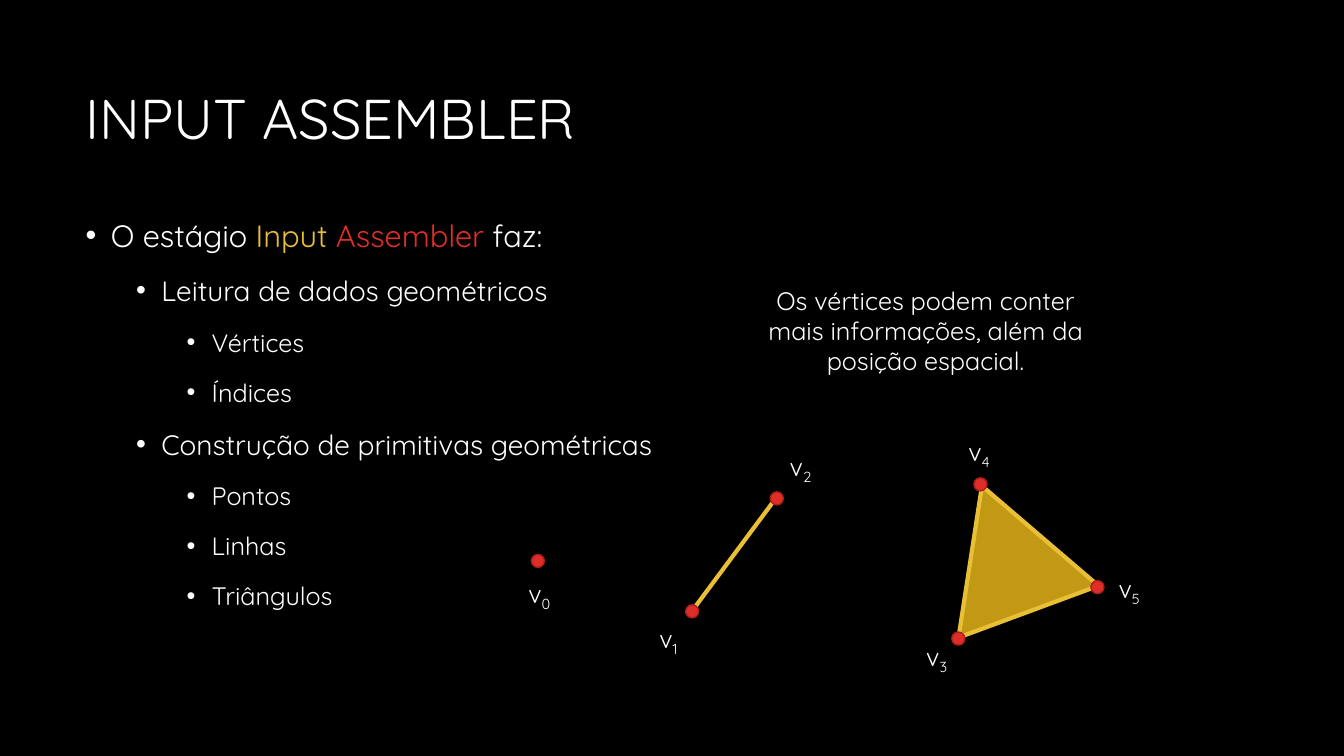
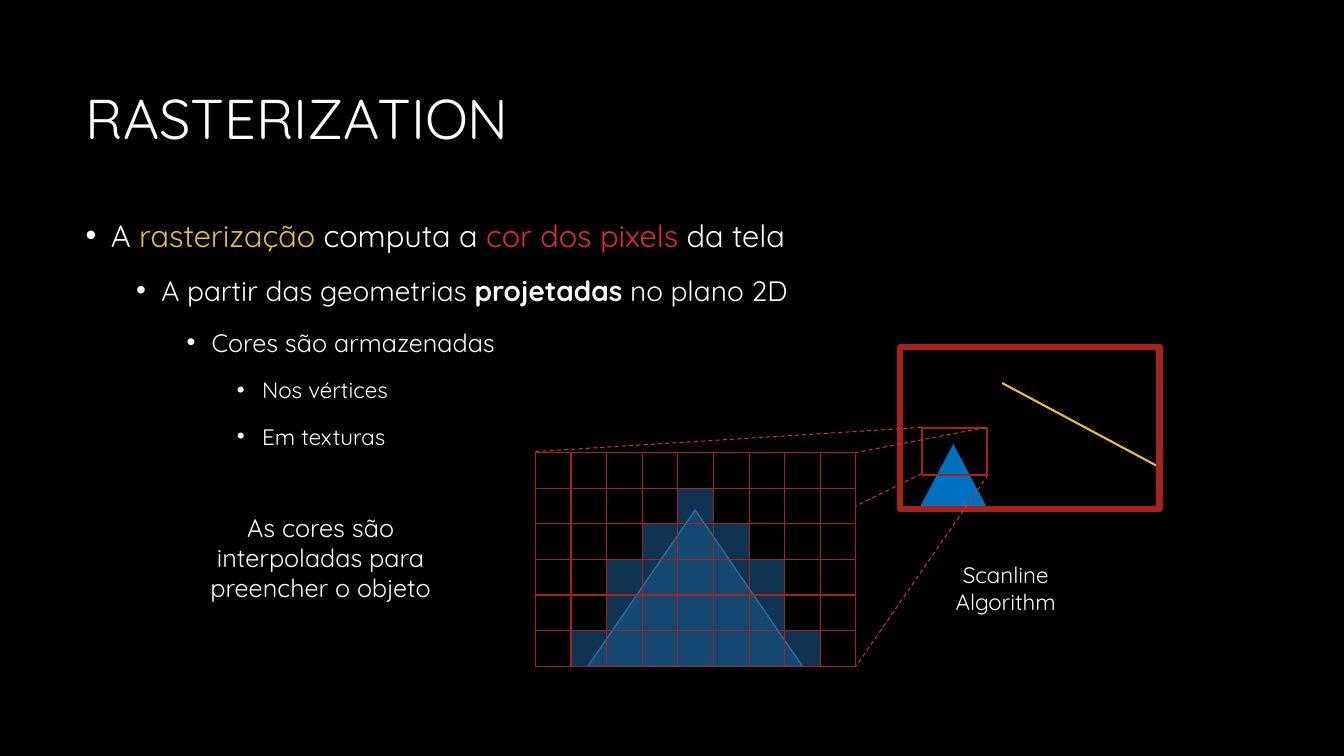
from pptx import Presentation
from pptx import util as u
from pptx.dml.color import RGBColor
from pptx.enum import dml, shapes, text
from pptx.oxml import parse_xml
from pptx.oxml.ns import nsdecls, qn
from pptx.oxml.xmlchemy import OxmlElement

BLACK = RGBColor(0x00, 0x00, 0x00)
WHITE = RGBColor(0xFF, 0xFF, 0xFF)
YELLOW = RGBColor(0xE9, 0xBF, 0x35)
GOLD = RGBColor(0xC1, 0x99, 0x15)
RED = RGBColor(0xDF, 0x2E, 0x28)
DOT_EDGE = RGBColor(0xAC, 0x1E, 0x1A)
FRAME_RED = RGBColor(0xA5, 0x22, 0x1E)
BLUE = RGBColor(0x00, 0x70, 0xC0)
MID_BLUE = RGBColor(0x24, 0x76, 0xB9)
LIGHT_BLUE = RGBColor(0x4A, 0x9B, 0xDC)
DARK_BLUE = RGBColor(0x18, 0x4F, 0x7B)
FONT = "Quicksand"
SHAPE = shapes.MSO_SHAPE


def draw_shape(page, kind, at, fill, edge, weight, opacity=None):
    """Add a preset shape; at is left, top, width, height in inches."""
    shape = page.shapes.add_shape(kind, *map(u.Inches, at))
    shape.shadow.inherit = False
    if fill is None:
        shape.fill.background()
    else:
        shape.fill.solid()
        shape.fill.fore_color.rgb = fill
    if opacity is not None:
        alpha = OxmlElement("a:alpha")
        alpha.set("val", str(opacity * 1000))
        shape._element.spPr.find(qn("a:solidFill"))[0].append(alpha)
    shape.line.color.rgb = edge
    shape.line.width = u.Pt(weight)
    return shape


def draw_line(page, ends, color, weight, dashed=False):
    """Add a straight line; ends is x1, y1, x2, y2 in inches."""
    line = page.shapes.add_connector(shapes.MSO_CONNECTOR.STRAIGHT, *map(u.Inches, ends))
    line.line.color.rgb = color
    line.line.width = u.Pt(weight)
    if dashed:
        line.line.dash_style = dml.MSO_LINE.DASH
    line._element.spPr.append(OxmlElement("a:effectLst"))


deck = Presentation()
deck.slide_width, deck.slide_height = u.Inches(13.33), u.Inches(7.5)

# Shared look: background, text levels and placeholder positions
master = deck.slide_master
master.background.fill.solid()
master.background.fill.fore_color.rgb = BLACK

# style, level, size, line spacing in percent, space before, left indent
levels = [("p:titleStyle", 1, 40, 90, 0, None)]
for level, size in enumerate((22, 20, 18, 16)):
    levels.append(("p:bodyStyle", level + 1, size, 110, 12 if level else 0, 0.25 + 0.5 * level))
for style_name, level, size, spacing, before, indent in levels:
    if indent is None:
        margins, bullet = 'marL="0" indent="0"', "<a:buNone/>"
    else:
        margins = f'marL="{u.Inches(indent)}" indent="{-u.Inches(0.25)}"'
        bullet = '<a:buFont typeface="Arial"/><a:buChar char="•"/>'
    style = master.element.find(".//" + qn(style_name))
    style.replace(style.find(qn(f"a:lvl{level}pPr")), parse_xml(
        f'<a:lvl{level}pPr {nsdecls("a")} {margins} algn="l">'
        f'<a:lnSpc><a:spcPct val="{spacing * 1000}"/></a:lnSpc>'
        f'<a:spcBef><a:spcPts val="{before * 100}"/></a:spcBef>{bullet}'
        f'<a:defRPr sz="{size * 100}"><a:solidFill><a:srgbClr val="{WHITE}"/></a:solidFill>'
        f'<a:latin typeface="{FONT}"/></a:defRPr></a:lvl{level}pPr>'))

layout = deck.slide_layouts[1]
for holder, top, height in zip(layout.placeholders, (0.5, 2.06), (1.41, 4.69)):
    holder.left, holder.top = u.Inches(0.75), u.Inches(top)
    holder.width, holder.height = u.Inches(11.83), u.Inches(height)
    holder.text_frame.auto_size = text.MSO_AUTO_SIZE.NONE

# Titles and lists: each paragraph is a level and its (text, colour, bold) runs
outlines = [
    ("INPUT ASSEMBLER", [
        (0, [("O estágio ", None, False), ("Input ", YELLOW, False),
             ("Assembler", RED, False), (" faz:", None, False)]),
        (1, [("Leitura de dados geométricos", None, False)]),
        (2, [("Vértices", None, False)]),
        (2, [("Índices", None, False)]),
        (1, [("Construção de primitivas geométricas", None, False)]),
        (2, [("Pontos", None, False)]),
        (2, [("Linhas", None, False)]),
        (2, [("Triângulos", None, False)]),
    ]),
    ("RASTERIZATION", [
        (0, [("A ", None, False), ("rasterização", YELLOW, False), (" computa a ", None, False),
             ("cor dos pixels ", RED, False), ("da tela", None, False)]),
        (1, [("A partir das geometrias ", None, False), ("projetadas", None, True),
             (" no plano 2D", None, False)]),
        (2, [("Cores são armazenadas", None, False)]),
        (3, [("Nos vértices", None, False)]),
        (3, [("Em texturas", None, False)]),
    ]),
]
pages = []
for title, outline in outlines:
    page = deck.slides.add_slide(layout)
    page.shapes.title.text_frame.text = title
    frame = page.placeholders[1].text_frame
    for number, (level, runs) in enumerate(outline):
        para = frame.add_paragraph() if number else frame.paragraphs[0]
        para.level = level
        for words, color, bold in runs:
            span = para.add_run()
            span.text = words
            if color is not None:
                span.font.color.rgb = color
            if bold:
                span.font.bold = True
    pages.append(page)
assembler, raster = pages

# Slide 1: point, line and triangle with their vertices
draw_line(assembler, (7.66, 4.99, 6.88, 6.04), YELLOW, 3)
triangle = draw_shape(assembler, SHAPE.ISOSCELES_TRIANGLE, (9.23, 4.78, 1.48, 1.33), GOLD, YELLOW, 3)
triangle.rotation = 339.7

# left and top of each dot, then of its label
vertices = [
    (5.27, 5.5, 5.13, 5.69),
    (6.8, 6, 6.41, 6.13),
    (7.64, 4.88, 7.72, 4.43),
    (9.44, 6.27, 9.07, 6.31),
    (9.66, 4.74, 9.49, 4.28),
    (10.82, 5.76, 10.98, 5.64),
]
# page, position, size, wraps, paragraphs; a second run is a subscript
notes = []
for index, (dot_x, dot_y, label_x, label_y) in enumerate(vertices):
    draw_shape(assembler, SHAPE.OVAL, (dot_x, dot_y, 0.13, 0.13), RED, DOT_EDGE, 1)
    notes.append((assembler, (label_x, label_y, 0.44, 0.4), 18, False, [("v", str(index))]))

# Slide 2: screen with a zoomed window, and the pixel grid it covers
draw_line(raster, (9.14, 4.7, 8.49, 5.02), RED, 0.75, dashed=True)
draw_shape(raster, SHAPE.ISOSCELES_TRIANGLE, (5.83, 5.06, 2.13, 1.55), MID_BLUE, LIGHT_BLUE, 1, 50)
draw_shape(raster, SHAPE.ISOSCELES_TRIANGLE, (9.1, 4.38, 0.71, 0.67), BLUE, BLACK, 1.5)
draw_line(raster, (9.94, 3.8, 11.49, 4.63), YELLOW, 1.5)
draw_shape(raster, SHAPE.RECTANGLE, (8.93, 3.44, 2.57, 1.61), None, FRAME_RED, 4.5)
draw_shape(raster, SHAPE.RECTANGLE, (9.14, 4.25, 0.65, 0.46), None, FRAME_RED, 1.5)
for ends in [(9.14, 4.24, 5.31, 4.48), (9.78, 4.24, 8.49, 4.49), (9.8, 4.71, 8.49, 6.61)]:
    draw_line(raster, ends, RED, 0.75, dashed=True)

GRID_LEFT, GRID_TOP, COLUMNS = 5.31, 4.49, 9
CELL = 3.18 / COLUMNS
MIDDLE = COLUMNS // 2
# lit cells on each side of the middle column, row by row (-1: none)
for row, reach in enumerate((-1, 0, 1, 2, 2, 3)):
    for column in range(COLUMNS):
        lit = abs(column - MIDDLE) <= reach
        at = (GRID_LEFT + column * CELL, GRID_TOP + row * CELL, CELL, CELL)
        draw_shape(raster, SHAPE.RECTANGLE, at, DARK_BLUE if lit else BLACK,
                   FRAME_RED, 0.75, 65 if lit else 75)

# Centred notes and vertex labels
notes += [
    (assembler, (7.35, 2.78, 3.66, 1.01), 18, True,
     [("Os vértices podem conter mais informações, além da posição espacial.",)]),
    (raster, (1.78, 5.03, 2.8, 1.01), 18, True,
     [("As cores são interpoladas para preencher o objeto",)]),
    (raster, (9.35, 5.52, 1.25, 0.64), 16, False, [("Scanline",), ("Algorithm",)]),
]
for page, at, size, wraps, paragraphs in notes:
    box = page.shapes.add_textbox(*map(u.Inches, at))
    frame = box.text_frame
    frame.word_wrap = wraps
    frame.auto_size = text.MSO_AUTO_SIZE.SHAPE_TO_FIT_TEXT
    for number, runs in enumerate(paragraphs):
        para = frame.add_paragraph() if number else frame.paragraphs[0]
        para.alignment = text.PP_ALIGN.CENTER
        for position, words in enumerate(runs):
            span = para.add_run()
            span.text = words
            span.font.name = FONT
            span.font.size = u.Pt(size)
            span.font.color.rgb = WHITE
            if position:
                span._r.get_or_add_rPr().set("baseline", "-25000")

deck.save("out.pptx")
